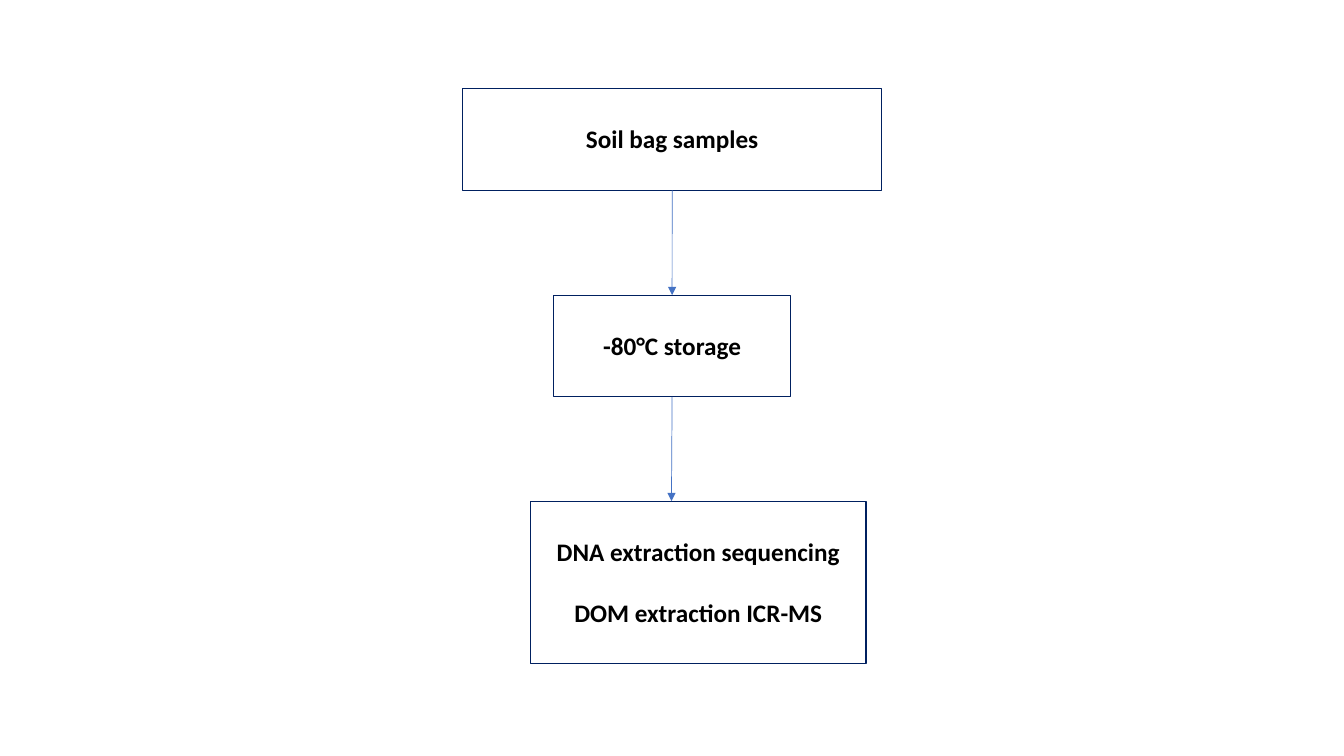
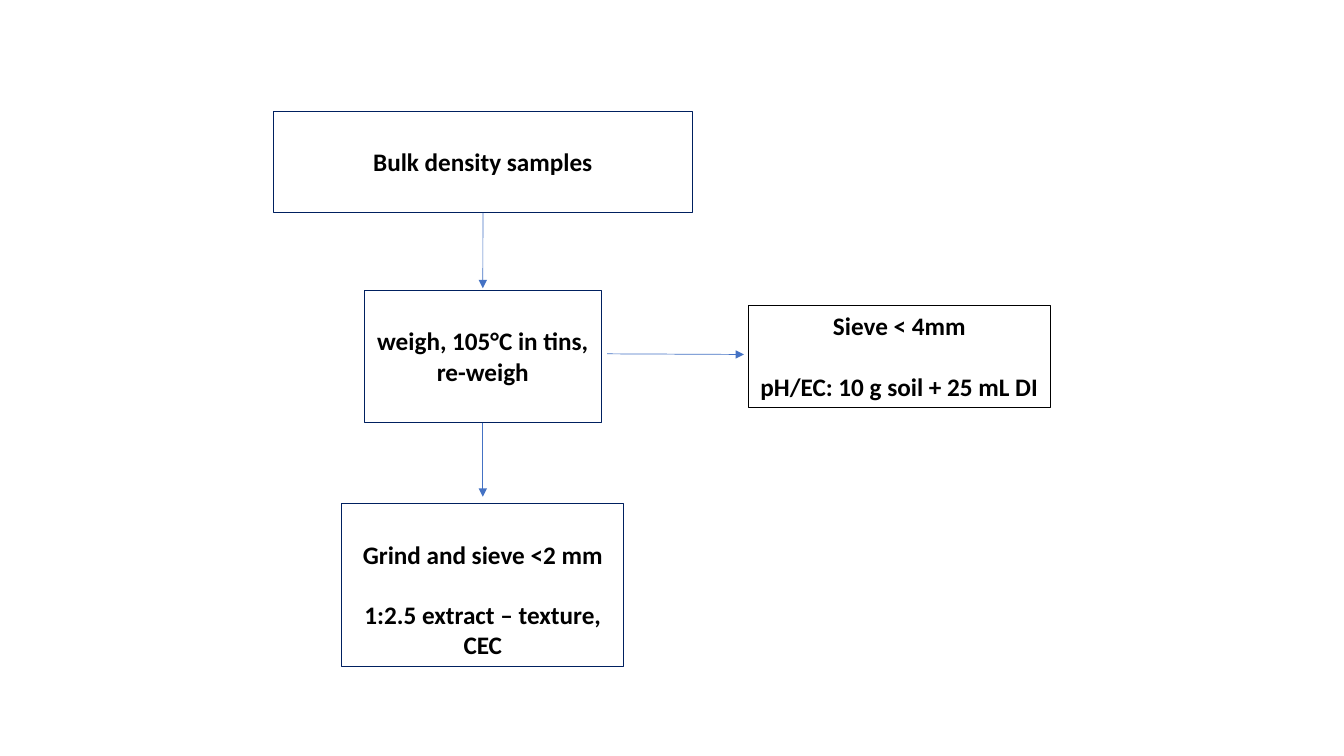
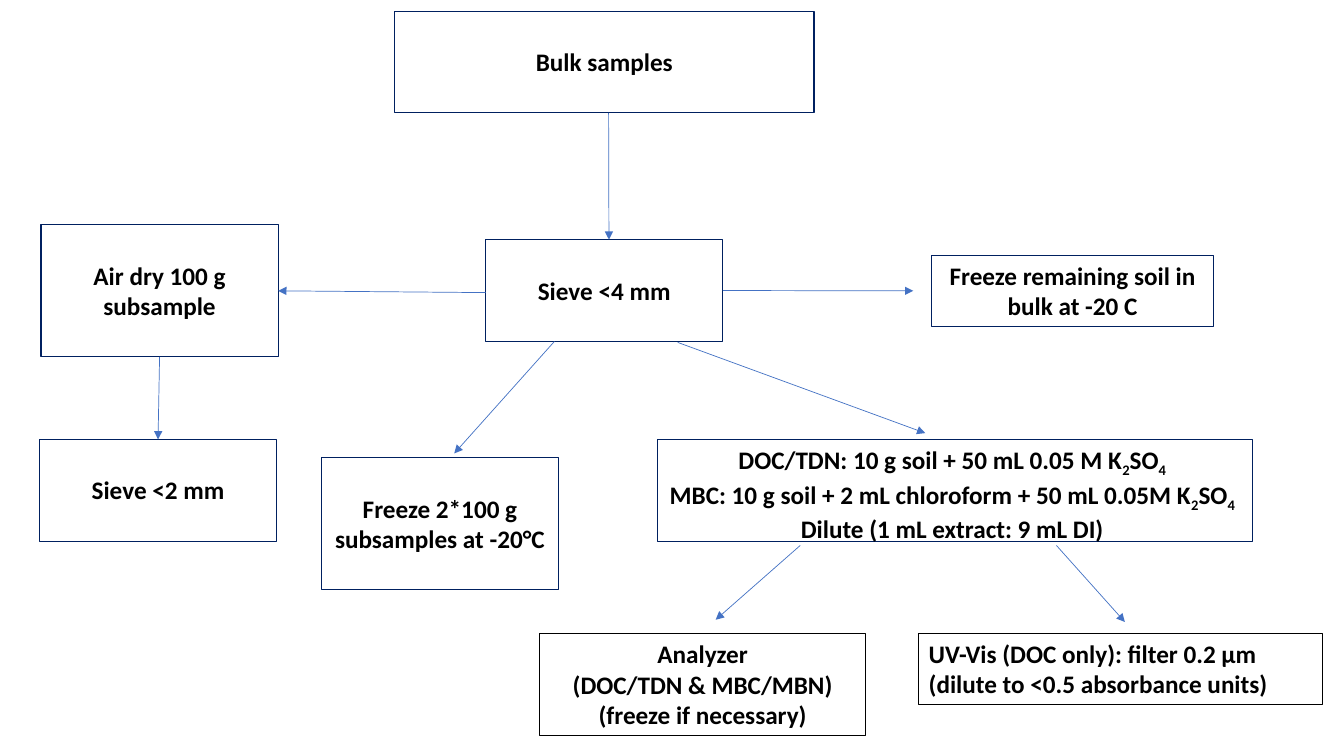
from lxml import etree
from pptx import Presentation
from pptx.dml.color import RGBColor
from pptx.enum.shapes import MSO_CONNECTOR, MSO_SHAPE
from pptx.enum.text import MSO_ANCHOR, PP_ALIGN
from pptx.oxml.ns import qn
from pptx.util import Pt

RECT, STRAIGHT = MSO_SHAPE.RECTANGLE, MSO_CONNECTOR.STRAIGHT
TOP, LEFT, CENTER = MSO_ANCHOR.TOP, PP_ALIGN.LEFT, PP_ALIGN.CENTER
NAVY = RGBColor(0x00, 0x20, 0x60)
BLACK = RGBColor(0x00, 0x00, 0x00)
BLUE = RGBColor(0x44, 0x72, 0xC4)
FONT, SIZE, LINE, INSET, SIDE = "Calibri", 18, 21.6, 3.6, 7.2
HEAD_W, STEP_W, NOTE_W = 299.5, 169.4, 201.6
SHORT, ROW, TALL, BLOCK = 50.9, 72.7, 94.5, 116.3

SLIDES = [
    {
        "boxes": {
            "samples": (330.4, 63.2, HEAD_W, ROW, ["Soil bag samples"], {}),
            "storage": (395.4, 210.8, STEP_W, ROW, ["-80°C storage"], {}),
            "lab": (379, 358, 239.6, BLOCK,
                    ["DNA extraction sequencing", "DOM extraction ICR-MS"],
                    {"gap": LINE}),
        },
        "arrows": [
            (("samples", "bottom", 0.5, 0), ("storage", "top", 0.5, 0)),
            (("storage", "bottom", 0.5, 0), ("lab", "top", 0.42, 0)),
        ],
    },
    {
        "boxes": {
            "samples": (195.2, 79.3, HEAD_W, ROW, ["Bulk density samples"], {}),
            "weigh": (260.2, 207.4, STEP_W, TALL,
                      ["weigh, 105°C in tins, re-weigh"], {}),
            "grind": (244.1, 359.8, NOTE_W, BLOCK,
                      ["Grind and sieve <2 mm", "1:2.5 extract – texture, CEC"],
                      {"gap": LINE}),
            "sieve": (534.4, 218.3, 216, ROW,
                      ["Sieve < 4mm", "pH/EC: 10 g soil + 25 mL DI"],
                      {"gap": LINE, "lead": 0, "border": BLACK}),
        },
        "arrows": [
            (("samples", "bottom", 0.5, 0), ("weigh", "top", 0.5, 1.5)),
            (("weigh", "bottom", 0.5, 0), ("grind", "top", 0.5, 5)),
            (("weigh", "right", 0.48, 4), ("sieve", "left", 0.48, 3)),
        ],
    },
    {
        "boxes": {
            "samples": (282, 8, HEAD_W, ROW, ["Bulk samples"], {}),
            "freeze": (229.6, 326.9, STEP_W, TALL,
                       ["Freeze 2*100 g subsamples at -20°C"], {}),
            "extract": (469.5, 313.9, 425.5, ROW,
                        ["DOC/TDN: 10 g soil + 50 mL 0.05 M K_2SO_4",
                         "MBC: 10 g soil + 2 mL chloroform + 50 mL 0.05M K_2SO_4",
                         "Dilute (1 mL extract: 9 mL DI)"],
                        {"lead": 0, "indent": 3}),
            "sieve": (346.9, 171.2, STEP_W, ROW, ["Sieve <4 mm"], {}),
            "dry": (29.3, 160.5, STEP_W, TALL, ["Air dry 100 g subsample"], {}),
            "rest": (665.4, 182.3, NOTE_W, SHORT,
                     ["Freeze remaining soil in bulk at -20 C"], {"lead": 0}),
            "fine": (28.2, 313.9, STEP_W, ROW, ["Sieve <2 mm"], {}),
            "analyzer": (385.3, 452.7, 233.2, ROW,
                         ["Analyzer", "(DOC/TDN & MBC/MBN)", "(freeze if necessary)"],
                         {"lead": 0, "border": BLACK}),
            "uv": (656.3, 452.3, 288.7, SHORT,
                   ["UV-Vis (DOC only): filter 0.2 μm", "(dilute to <0.5 absorbance units)"],
                   {"lead": 0, "border": BLACK, "align": LEFT}),
        },
        "arrows": [
            (("samples", "bottom", 0.51, 0), ("sieve", "top", 0.52, 0)),
            (("sieve", "right", 0.5, 0), ("rest", "left", 0.5, 13)),
            (("sieve", "left", 0.52, 0), ("dry", "right", 0.5, 0)),
            (("sieve", "bottom", 0.81, 0.7), ("extract", "top", 0.45, 4.5)),
            (("sieve", "bottom", 0.29, 0), ("freeze", "top", 0.56, 3)),
            (("dry", "bottom", 0.5, 0), ("fine", "top", 0.5, 0)),
            (("extract", "bottom", 0.24, 3), ("analyzer", "top", 0.54, 10)),
            (("extract", "bottom", 0.67, 3), ("uv", "top", 0.51, 8)),
        ],
    },
]


def write(tf, lines, lead=LINE, gap=0, indent=SIDE, align=CENTER):
    tf.word_wrap = True
    tf.vertical_anchor = TOP
    tf.margin_top, tf.margin_left = Pt(INSET + lead), Pt(indent)
    for i, line in enumerate(lines):
        p = tf.add_paragraph() if i else tf.paragraphs[0]
        p.alignment = align
        p.space_before = Pt(gap if i else 0)
        first, *rest = line.split("_")
        runs = [(first, False)]
        for part in rest:
            runs += [(part[0], True), (part[1:], False)]
        for text, subscript in runs:
            if text:
                r = p.add_run()
                r.text = text
                r.font.name, r.font.size, r.font.bold = FONT, Pt(SIZE), True
                r.font.color.rgb = BLACK
                if subscript:
                    r._r.get_or_add_rPr().set("baseline", "-25000")


def add_box(s, left, top, width, height, lines, border=NAVY, **text_format):
    sp = s.shapes.add_shape(RECT, Pt(left), Pt(top), Pt(width), Pt(height))
    sp.shadow.inherit = False
    sp.fill.background()
    sp.line.color.rgb = border
    sp.line.width = Pt(0.75)
    write(sp.text_frame, lines, **text_format)


def edge_point(boxes, name, side, share, gap):
    left, top, width, height = boxes[name][:4]
    x, y = left + share * width, top + share * height
    return {"top": (x, top - gap), "bottom": (x, top + height + gap),
            "left": (left - gap, y), "right": (left + width + gap, y)}[side]


def add_arrow(s, start, end):
    arrow = s.shapes.add_connector(STRAIGHT, *(Pt(v) for v in start + end))
    arrow.line.color.rgb = BLUE
    arrow.line.width = Pt(0.5)
    etree.SubElement(arrow.line._get_or_add_ln(), qn("a:tailEnd"), type="triangle")
    etree.SubElement(arrow._element.spPr, qn("a:effectLst"))


def main():
    prs = Presentation()
    prs.slide_width, prs.slide_height = Pt(960), Pt(540)
    for flow in SLIDES:
        s = prs.slides.add_slide(prs.slide_layouts[6])
        boxes = flow["boxes"]
        for *place, lines, options in boxes.values():
            add_box(s, *place, lines, **options)
        for start, end in flow["arrows"]:
            add_arrow(s, edge_point(boxes, *start), edge_point(boxes, *end))
    prs.save("out.pptx")


if __name__ == "__main__":
    main()
